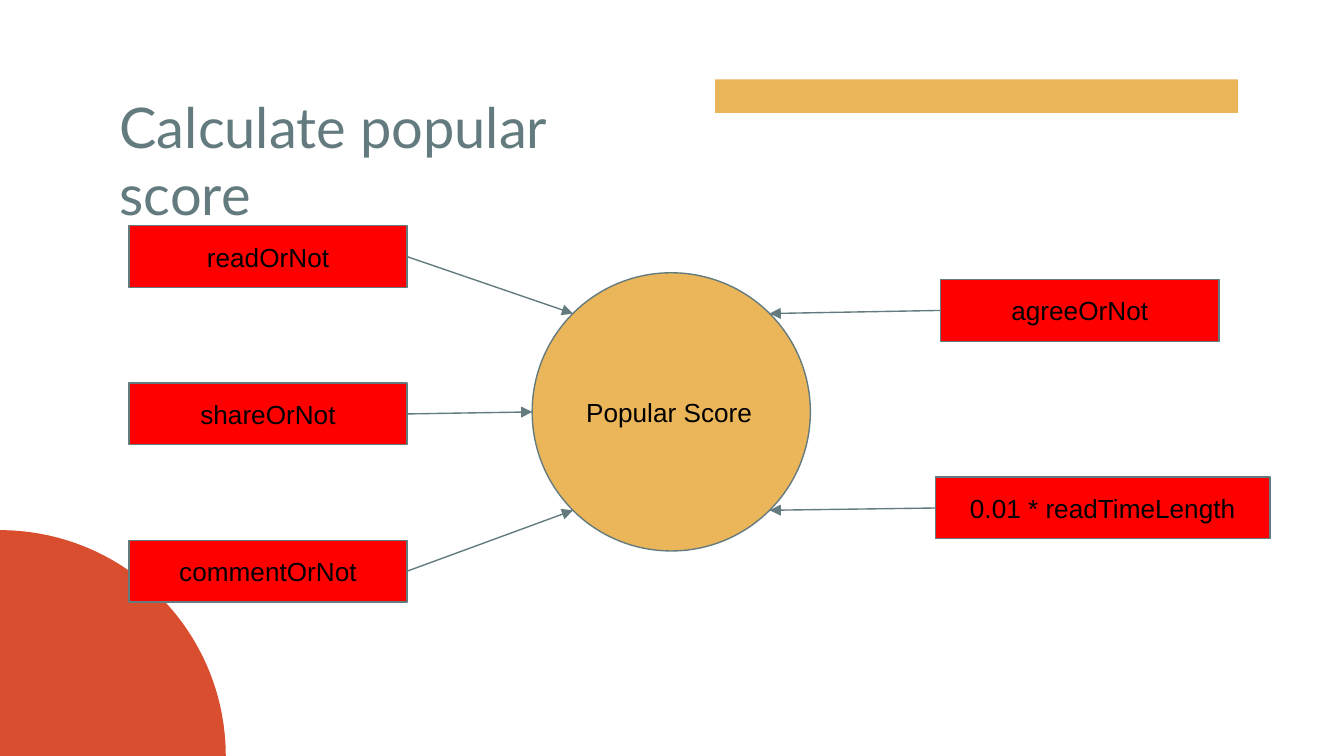
from math import cos, pi, sin

from lxml import etree
from pptx import Presentation
from pptx.dml.color import RGBColor
from pptx.enum.shapes import MSO_CONNECTOR, MSO_SHAPE
from pptx.enum.text import MSO_ANCHOR, MSO_AUTO_SIZE, PP_ALIGN
from pptx.oxml.ns import qn
from pptx.util import Inches, Pt

RECT, OVAL = MSO_SHAPE.RECTANGLE, MSO_SHAPE.OVAL
STRAIGHT = MSO_CONNECTOR.STRAIGHT
LEFT, CENTER = PP_ALIGN.LEFT, PP_ALIGN.CENTER
TOP, MIDDLE = MSO_ANCHOR.TOP, MSO_ANCHOR.MIDDLE
LEFT_SIDE, RIGHT_SIDE = 1, 3

TITLE = "Calculate popular score"
SCORE = "Popular Score"
COLORS = {"gold": "EBB55A", "orange": "D84E2E", "factor": "FF0000",
          "slate": "637B7F", "text": "000000"}

SLIDE_W = 10
SLIDE_H = SLIDE_W * 9 / 16
BOX_W, BOX_H = 2.07, 0.46
ROW_TOP, ROW_STEP = 1.68, 1.17
SCORE_LEFT, SCORE_TOP, SCORE_SIZE = 3.96, 2.03, 2.07
CORNER_RADIUS, ARC_STEPS = 1.68, 60

LEFT_FACTORS = [("readOrNot", -135), ("shareOrNot", 180), ("commentOrNot", 135)]
RIGHT_FACTORS = [("agreeOrNot", 7, 2.08, BOX_W, -45),
                 ("0.01 * readTimeLength", 6.96, 3.55, 2.49, 45)]

FACTORS = [(label, 0.96, ROW_TOP + row * ROW_STEP, BOX_W, angle, RIGHT_SIDE)
           for row, (label, angle) in enumerate(LEFT_FACTORS)]
FACTORS += [factor + (LEFT_SIDE,) for factor in RIGHT_FACTORS]


def color(key):
    return RGBColor.from_string(COLORS[key])


def paint(shape, fill, outline=None):
    shape.shadow.inherit = False
    shape.fill.solid()
    shape.fill.fore_color.rgb = color(fill)
    if outline:
        shape.line.color.rgb = color(outline)
        shape.line.width = Pt(0.75)
    else:
        shape.line.fill.background()


def write(shape, text, font, size, text_color, align, anchor):
    frame = shape.text_frame
    frame.word_wrap = True
    frame.auto_size = MSO_AUTO_SIZE.NONE
    frame.vertical_anchor = anchor
    frame.margin_left = frame.margin_right = Inches(0.1)
    frame.margin_top = frame.margin_bottom = Inches(0.1)
    paragraph = frame.paragraphs[0]
    paragraph.alignment = align
    run = paragraph.add_run()
    run.text = text
    run.font.name = font
    run.font.size = Pt(size)
    run.font.color.rgb = color(text_color)


def add_block(shapes, kind, left, top, width, height, fill, outline=None):
    block = shapes.add_shape(kind, Inches(left), Inches(top),
                             Inches(width), Inches(height))
    paint(block, fill, outline)
    return block


def add_corner(shapes):
    arc = [(CORNER_RADIUS * sin(pi / 2 * step / ARC_STEPS),
            SLIDE_H - CORNER_RADIUS * cos(pi / 2 * step / ARC_STEPS))
           for step in range(ARC_STEPS + 1)]
    builder = shapes.build_freeform(0, Inches(SLIDE_H))
    builder.add_line_segments([(Inches(x), Inches(y)) for x, y in arc], close=True)
    paint(builder.convert_to_shape(), "orange")


def add_arrow(shapes, box, side, angle):
    radius = SCORE_SIZE / 2
    tip_x = SCORE_LEFT + radius + radius * cos(angle * pi / 180)
    tip_y = SCORE_TOP + radius + radius * sin(angle * pi / 180)
    arrow = shapes.add_connector(STRAIGHT, 0, 0, Inches(tip_x), Inches(tip_y))
    arrow.begin_connect(box, side)
    arrow.line.color.rgb = color("slate")
    arrow.line.width = Pt(0.75)
    etree.SubElement(arrow.line._get_or_add_ln(), qn("a:tailEnd"), type="triangle")
    etree.SubElement(arrow._element.spPr, qn("a:effectLst"))


def main():
    deck = Presentation()
    deck.slide_width, deck.slide_height = Inches(SLIDE_W), Inches(SLIDE_H)
    slide = deck.slides.add_slide(deck.slide_layouts[5])
    shapes = slide.shapes

    add_block(shapes, RECT, 5.32, 0.59, 3.89, 0.25, "gold")
    add_corner(shapes)

    title = shapes.title
    title.left, title.top = Inches(0.79), Inches(0.59)
    title.width, title.height = Inches(4.21), Inches(0.63)
    write(title, TITLE, "Lato", 30, "slate", LEFT, TOP)

    score = add_block(shapes, OVAL, SCORE_LEFT, SCORE_TOP,
                      SCORE_SIZE, SCORE_SIZE, "gold", "slate")
    write(score, SCORE, "Arial", 14, "text", LEFT, MIDDLE)

    boxes = []
    for label, left, top, width, angle, side in FACTORS:
        box = add_block(shapes, RECT, left, top, width, BOX_H, "factor", "slate")
        write(box, label, "Arial", 14, "text", CENTER, MIDDLE)
        boxes.append((box, side, angle))
    for box, side, angle in boxes:
        add_arrow(shapes, box, side, angle)

    deck.save("out.pptx")


if __name__ == "__main__":
    main()
